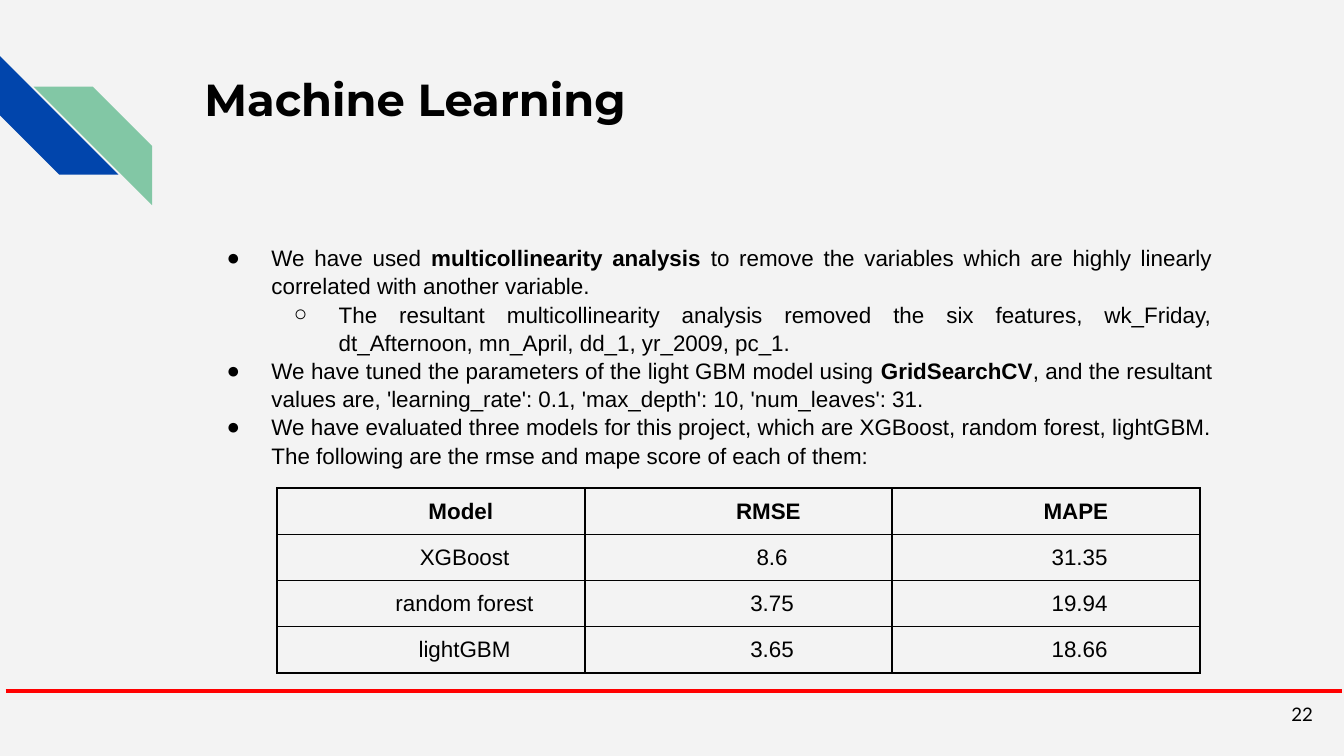
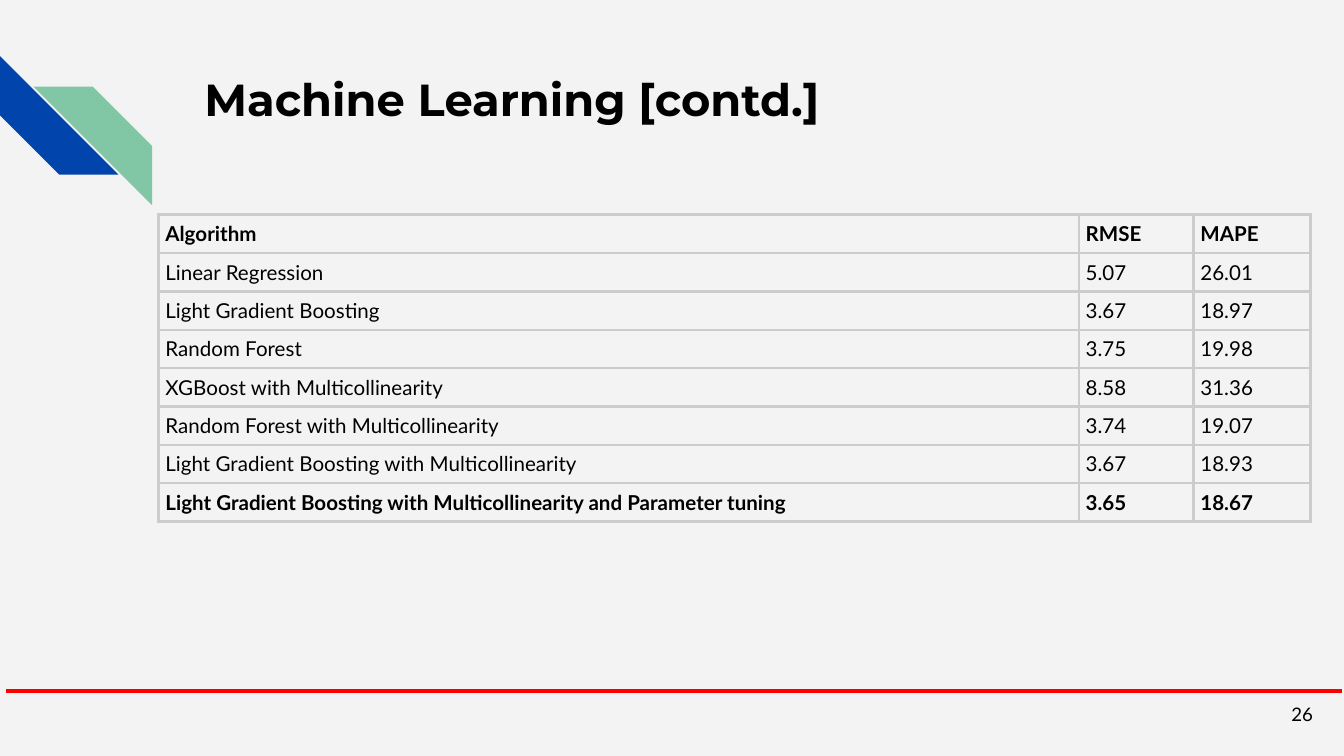
from dataclasses import dataclass

from lxml.etree import SubElement
from pptx import Presentation
from pptx.dml.color import RGBColor
from pptx.enum.shapes import MSO_CONNECTOR as Connector, MSO_SHAPE as Shape
from pptx.enum.text import MSO_ANCHOR as Anchor, MSO_AUTO_SIZE as AutoSize, PP_ALIGN as Align
from pptx.oxml.ns import qn
from pptx.util import Pt


@dataclass(frozen=True)
class Theme:
    paper: str = "F3F3F3"
    ink: str = "000000"
    blue: str = "0145AC"
    green: str = "82C7A5"
    rule: str = "FF0000"
    grid: str = "CCCCCC"
    title_font: str = "Montserrat"
    body_font: str = "Arial"
    data_font: str = "Lato"
    title_size: float = 24
    body_size: float = 12
    data_size: float = 11
    number_size: float = 10


@dataclass(frozen=True)
class TableLook:
    font: str
    size: float
    border: str
    border_width: float
    inset: float
    anchor: Anchor
    align: Align
    header_indent: float = 0
    body_indent: float = 0


THEME = Theme()
SCORE_LOOK = TableLook(THEME.body_font, THEME.body_size, THEME.ink, 1, 0.75,
                       Anchor.MIDDLE, Align.CENTER, 32, 36)
RANKING_LOOK = TableLook(THEME.data_font, THEME.data_size, THEME.grid, 1.5, 3.6,
                         Anchor.TOP, Align.LEFT)

PAGE_SIZE = (720, 405)
STRIPE_BOX = (0, 30, 81.5, 80)
TITLE_BOX = (102.25, 31, 554.5, 72)
BODY_BOX = (102.25, 123, 554.5, 229)
FOOTER_BOX = (3, 367.25, 716, 31)
SCORE_BOX = (148.5, 261.5, 494.25, 99)
RANKING_BOX = (85, 115, 617, 164.5)

# Each bullet is a level and its spans of text, bold or not.
FINDINGS = [
    (0, [("We have used ", False), ("multicollinearity analysis", True),
         (" to remove the variables which are highly linearly correlated "
          "with another variable.", False)]),
    (1, [("The resultant multicollinearity analysis removed the six features, "
          "wk_Friday, dt_Afternoon, mn_April, dd_1, yr_2009, pc_1.", False)]),
    (0, [("We have tuned the parameters of the light GBM model using ", False),
         ("GridSearchCV", True),
         (", and the resultant values are, 'learning_rate': 0.1, "
          "'max_depth': 10, 'num_leaves': 31.", False)]),
    (0, [("We have evaluated three models for this project, which are XGBoost, "
          "random forest, lightGBM. The following are the rmse and mape score "
          "of each of them:", False)]),
]
SCORES = [
    ("Model", "RMSE", "MAPE"),
    ("XGBoost", "8.6", "31.35"),
    ("random forest", "3.75", "19.94"),
    ("lightGBM", "3.65", "18.66"),
]
RANKING = [
    ("Algorithm", "RMSE", "MAPE"),
    ("Linear Regression", "5.07", "26.01"),
    ("Light Gradient Boosting", "3.67", "18.97"),
    ("Random Forest", "3.75", "19.98"),
    ("XGBoost with Multicollinearity", "8.58", "31.36"),
    ("Random Forest with Multicollinearity", "3.74", "19.07"),
    ("Light Gradient Boosting with Multicollinearity", "3.67", "18.93"),
    ("Light Gradient Boosting with Multicollinearity and Parameter tuning",
     "3.65", "18.67"),
]


def set_all(target, values):
    for name, value in values.items():
        setattr(target, name, value)


def points(lengths):
    return [Pt(length) for length in lengths]


def place(shape, box):
    set_all(shape, dict(zip(("left", "top", "width", "height"), points(box))))


def margins(inset):
    return {f"margin_{side}": Pt(inset) for side in ("left", "top", "right", "bottom")}


def format_frame(frame, anchor=Anchor.TOP):
    set_all(frame, {"word_wrap": True, "auto_size": AutoSize.NONE,
                    "vertical_anchor": anchor, **margins(7.2)})


def add_span(para, text, font, size, bold=False):
    span = para.add_run()
    span.text = text
    set_all(span.font, {"name": font, "size": Pt(size), "bold": bold})
    span.font.color.rgb = RGBColor.from_string(THEME.ink)


def indent(para, left, first=0):
    properties = para._p.get_or_add_pPr()
    properties.set("marL", str(Pt(left)))
    properties.set("indent", str(Pt(first)))
    return properties


def add_bullet(para, symbol, left, hang):
    properties = indent(para, left, -hang)
    colour = SubElement(properties, qn("a:buClr"))
    SubElement(colour, qn("a:srgbClr"), val=THEME.ink)
    SubElement(properties, qn("a:buFont"), typeface=THEME.body_font)
    SubElement(properties, qn("a:buChar"), char=symbol)


def add_stripes(page, box):
    left, top, width, height = box
    side = 63.5
    stripes = [
        (left, top, THEME.blue, 270),
        (left + width - side, top + height - side, THEME.green, 90),
    ]
    for x, y, colour, turn in stripes:
        stripe = page.shapes.add_shape(Shape.DIAGONAL_STRIPE, *points((x, y, side, side)))
        stripe.rotation = turn
        stripe.shadow.inherit = False
        stripe.fill.solid()
        stripe.fill.fore_color.rgb = RGBColor.from_string(colour)
        stripe.line.fill.background()


def add_title(page, box, text):
    title = page.shapes.title
    place(title, box)
    format_frame(title.text_frame)
    para = title.text_frame.paragraphs[0]
    para.alignment = Align.LEFT
    add_span(para, text, THEME.title_font, THEME.title_size, True)


def add_footer(page, box, number):
    """Red rule across the box, page number at its right end."""
    left, top, width, height = box
    rule_y = top + 2.75
    rule = page.shapes.add_connector(
        Connector.STRAIGHT, *points((left, rule_y, left + width, rule_y)))
    rule.line.color.rgb = RGBColor.from_string(THEME.rule)
    rule.line.width = Pt(2.25)
    SubElement(rule._element.spPr, qn("a:effectLst"))

    label_width = 43
    label = page.shapes.add_textbox(
        *points((left + width - label_width - 8.5, top, label_width, height)))
    format_frame(label.text_frame, Anchor.MIDDLE)
    para = label.text_frame.paragraphs[0]
    para.alignment = Align.RIGHT
    add_span(para, str(number), THEME.data_font, THEME.number_size)


def add_findings(page, box, findings):
    body = page.placeholders[1]
    place(body, box)
    frame = body.text_frame
    format_frame(frame)
    for index, (level, spans) in enumerate(findings):
        para = frame.add_paragraph() if index else frame.paragraphs[0]
        set_all(para, {"level": level, "alignment": Align.JUSTIFY, "line_spacing": 1.05,
                       "space_before": Pt(0), "space_after": Pt(0)})
        add_bullet(para, "●○"[level], 36 * (level + 1), 24)
        for text, bold in spans:
            add_span(para, text, THEME.body_font, THEME.body_size, bold)


def add_borders(cell, colour, width):
    properties = cell._tc.get_or_add_tcPr()
    for side in ("lnL", "lnR", "lnT", "lnB"):
        line = SubElement(properties, qn(f"a:{side}"), w=str(Pt(width)))
        fill = SubElement(line, qn("a:solidFill"))
        SubElement(fill, qn("a:srgbClr"), val=colour)


def add_grid(page, box, rows, widths, look, bold_rows):
    """Table with equal rows that fills the box."""
    table = page.shapes.add_table(len(rows), len(widths), *points(box)).table
    set_all(table, {"first_row": False, "horz_banding": False})
    for column, width in zip(table.columns, widths):
        column.width = Pt(width)
    for row_index, values in enumerate(rows):
        table.rows[row_index].height = Pt(box[3] / len(rows))
        for column_index, text in enumerate(values):
            cell = table.cell(row_index, column_index)
            add_borders(cell, look.border, look.border_width)
            cell.fill.background()
            set_all(cell, {"vertical_anchor": look.anchor, **margins(look.inset)})
            para = cell.text_frame.paragraphs[0]
            para.alignment = look.align
            indent(para, look.body_indent if row_index else look.header_indent)
            add_span(para, text, look.font, look.size, row_index in bold_rows)


def add_page(deck, layout_name, title, number):
    page = deck.slides.add_slide(deck.slide_layouts.get_by_name(layout_name))
    add_stripes(page, STRIPE_BOX)
    add_title(page, TITLE_BOX, title)
    add_footer(page, FOOTER_BOX, number)
    return page


def add_findings_page(deck):
    page = add_page(deck, "Title and Content", "Machine Learning", 22)
    add_findings(page, BODY_BOX, FINDINGS)
    add_grid(page, SCORE_BOX, SCORES, [SCORE_BOX[2] / 3] * 3, SCORE_LOOK, {0})


def add_ranking_page(deck):
    page = add_page(deck, "Title Only", "Machine Learning [contd.]", 26)
    add_grid(page, RANKING_BOX, RANKING, [493, 61.5, 62.5], RANKING_LOOK,
             {0, len(RANKING) - 1})


def main():
    deck = Presentation()
    deck.slide_width, deck.slide_height = points(PAGE_SIZE)
    backdrop = deck.slide_master.background.fill
    backdrop.solid()
    backdrop.fore_color.rgb = RGBColor.from_string(THEME.paper)
    add_findings_page(deck)
    add_ranking_page(deck)
    deck.save("out.pptx")


if __name__ == "__main__":
    main()
